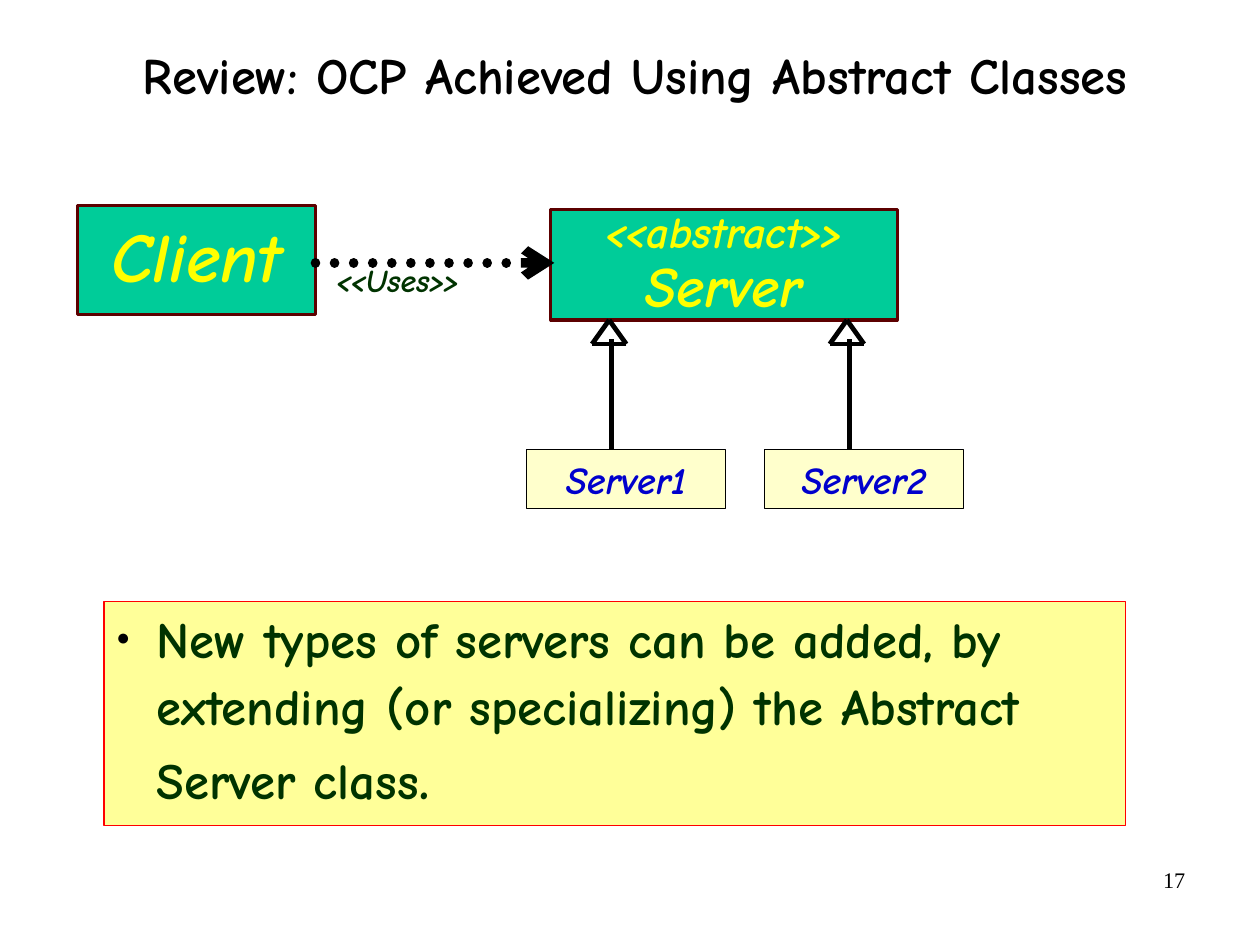
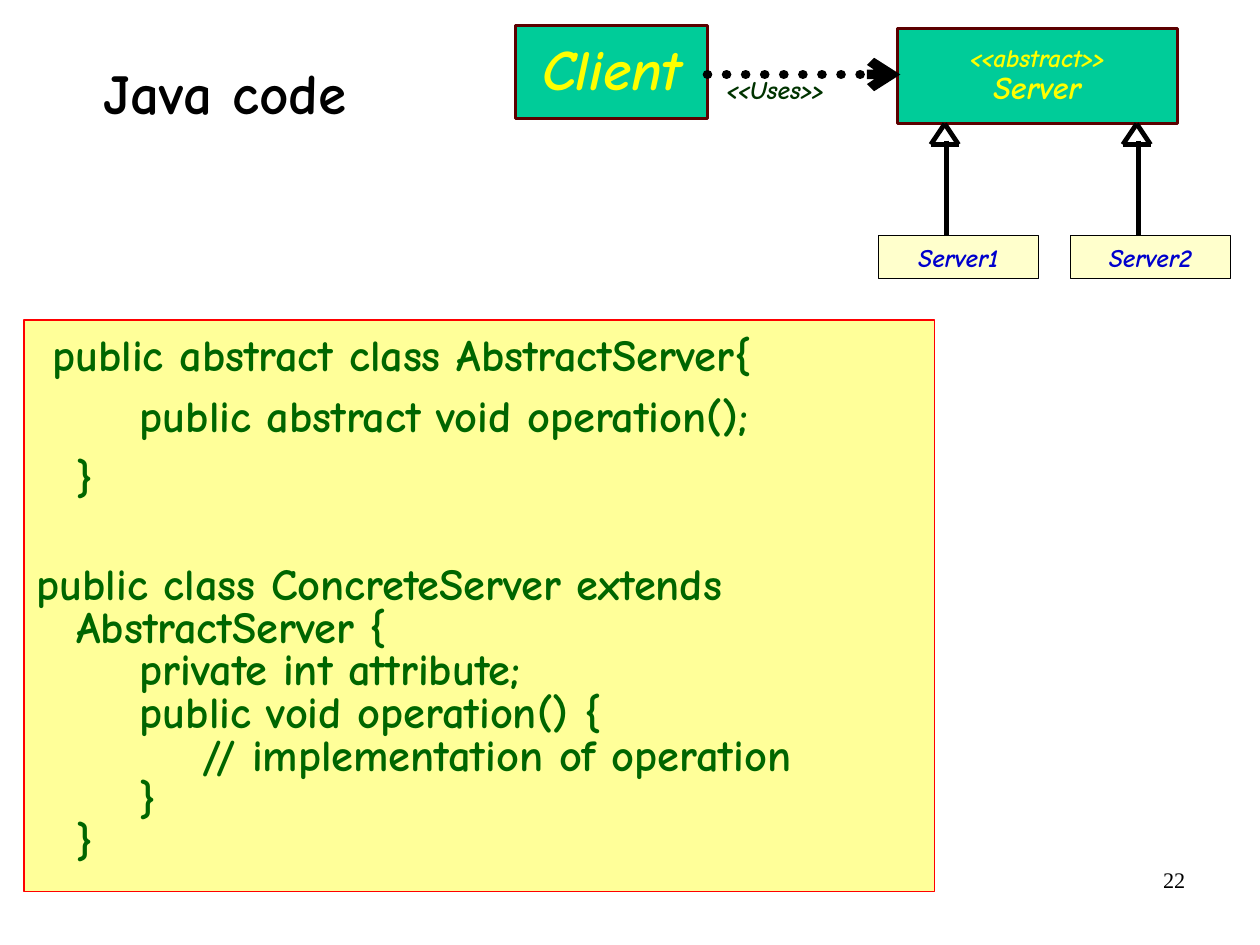
from dataclasses import dataclass

import pptx
import pptx.dml.color
import pptx.enum.dml
import pptx.enum.shapes
import pptx.enum.text
import pptx.oxml.ns
import pptx.util
from lxml import etree
from pptx.util import Inches

ALIGN = pptx.enum.text.PP_ALIGN
ANCHOR = pptx.enum.text.MSO_ANCHOR
SHAPE = pptx.enum.shapes.MSO_SHAPE
COMIC = "Comic Neue"
SERIF = "Times New Roman"

BLACK = "000000"
CLASS_FILL, CLASS_LINE, CLASS_TEXT = "00CC99", "5C0000", "FFFF00"
CHILD_FILL, CHILD_TEXT = "FFFFCC", "0000CC"
PANEL_FILL, PANEL_LINE = "FFFF99", "FF0000"
DARK_GREEN, CODE_GREEN = "003300", "006600"

NO_INSETS = (0, 0)
TEXT_INSETS = (0.1, 0.05)
CLASS_INSETS = (0.11, 0.06)

CLIENT_WIDTH, CLIENT_HEIGHT = 2.08, 0.95


@dataclass(frozen=True)
class Rect:
    left: float
    top: float
    width: float
    height: float

    def lengths(self):
        return [Inches(v) for v in (self.left, self.top, self.width, self.height)]


@dataclass(frozen=True)
class Span:
    text: str
    size: float
    color: str
    font: str = COMIC
    bold: bool = True
    italic: bool = False


@dataclass(frozen=True)
class Para:
    spans: tuple[Span, ...]
    align: ALIGN = ALIGN.LEFT
    line_spacing: float = 1.0
    before: float = 0
    after: float = 0
    hanging: bool = False
    bullet: bool = False


@dataclass(frozen=True)
class Diagram:
    """Class diagram, scaled so that the client box fills the given rectangle."""
    client: Rect
    child_height: float
    client_size: float
    stereotype_size: float
    server_size: float
    child_size: float
    uses_size: float

    def width(self, value: float) -> float:
        return value * self.client.width / CLIENT_WIDTH

    def height(self, value: float) -> float:
        return value * self.client.height / CLIENT_HEIGHT

    def x(self, value: float) -> float:
        return self.client.left + self.width(value)

    def y(self, value: float) -> float:
        return self.client.top + self.height(value)

    def rect(self, left: float, top: float, width: float, height: float) -> Rect:
        return Rect(self.x(left), self.y(top), self.width(width), self.height(height))


def rgb(color: str):
    return pptx.dml.color.RGBColor.from_string(color)


def qn(tag: str) -> str:
    return pptx.oxml.ns.qn(tag)


def add_bullet(para) -> None:
    props = para._p.get_or_add_pPr()
    color = etree.SubElement(props, qn("a:buClr"))
    etree.SubElement(color, qn("a:srgbClr"), val=BLACK)
    etree.SubElement(props, qn("a:buSzPct"), val="45000")
    etree.SubElement(props, qn("a:buFont"), typeface=SERIF)
    etree.SubElement(props, qn("a:buChar"), char="●")


def write(box, paras: list[Para], insets: tuple[float, float], anchor=ANCHOR.TOP) -> None:
    frame = box.text_frame
    frame.word_wrap = True
    frame.vertical_anchor = anchor
    frame.margin_left = frame.margin_right = Inches(insets[0])
    frame.margin_top = frame.margin_bottom = Inches(insets[1])
    for index, item in enumerate(paras):
        para = frame.add_paragraph() if index else frame.paragraphs[0]
        if item.bullet:
            add_bullet(para)
        if item.hanging:
            props = para._p.get_or_add_pPr()
            props.set("marL", str(Inches(0.46)))
            props.set("indent", str(Inches(-0.35)))
        para.alignment = item.align
        para.line_spacing = item.line_spacing
        para.space_before = pptx.util.Pt(item.before)
        para.space_after = pptx.util.Pt(item.after)
        for span in item.spans:
            for number, line in enumerate(span.text.split("\n")):
                if number:
                    para.add_line_break()
                run = para.add_run()
                run.text = line
                run.font.name = span.font
                run.font.size = pptx.util.Pt(span.size)
                run.font.bold = span.bold
                run.font.italic = span.italic
                run.font.color.rgb = rgb(span.color)


def add_text(page, rect: Rect, para: Para, insets=TEXT_INSETS, anchor=ANCHOR.TOP) -> None:
    write(page.shapes.add_textbox(*rect.lengths()), [para], insets, anchor)


def add_figure(page, kind, rect: Rect, fill: str | None, line: str, weight: float):
    box = page.shapes.add_shape(kind, *rect.lengths())
    box.shadow.inherit = False
    if fill:
        box.fill.solid()
        box.fill.fore_color.rgb = rgb(fill)
    else:
        box.fill.background()
    box.line.color.rgb = rgb(line)
    box.line.width = pptx.util.Pt(weight)
    return box


def add_line(page, start: tuple[float, float], end: tuple[float, float], weight: float):
    line = page.shapes.add_connector(
        pptx.enum.shapes.MSO_CONNECTOR.STRAIGHT,
        *[Inches(v) for v in (*start, *end)])
    line.line.color.rgb = rgb(BLACK)
    line.line.width = pptx.util.Pt(weight)
    etree.SubElement(line._element.spPr, qn("a:effectLst"))
    return line


def add_dotted_arrow(page, start: tuple[float, float], end: tuple[float, float]) -> None:
    arrow = add_line(page, start, end, 6)
    arrow.line.dash_style = pptx.enum.dml.MSO_LINE.ROUND_DOT
    stroke = arrow.line._get_or_add_ln()
    stroke.set("cap", "rnd")
    etree.SubElement(stroke, qn("a:tailEnd"), type="arrow")


def add_class(page, rect: Rect, labels: list[tuple[str, float]]) -> None:
    box = add_figure(page, SHAPE.RECTANGLE, rect, CLASS_FILL, CLASS_LINE, 2)
    paras = [Para((Span(text, size, CLASS_TEXT, italic=True),), ALIGN.CENTER, 0.9)
             for text, size in labels]
    write(box, paras, CLASS_INSETS, ANCHOR.MIDDLE)


def add_child(page, diagram: Diagram, name: str, offset: float) -> None:
    """Subclass box with its inheritance arrow up to the server."""
    rect = Rect(diagram.x(3.93 + offset), diagram.y(2.13),
                diagram.width(1.74), diagram.child_height)
    box = add_figure(page, SHAPE.RECTANGLE, rect, CHILD_FILL, BLACK, 0.75)
    label = Span(name, diagram.child_size, CHILD_TEXT, italic=True)
    write(box, [Para((label,), ALIGN.CENTER)], CLASS_INSETS)
    stem = diagram.x(4.67 + offset)
    add_line(page, (stem, diagram.y(1.17)), (stem, diagram.y(2.13)), 3)
    left, apex, right = (diagram.x(v + offset) for v in (4.5, 4.65, 4.8))
    top, base = diagram.y(1), diagram.y(1.21)
    corners = [(apex, top), (right, base), (left, base)]
    for start, end in zip(corners, corners[1:] + corners[:1]):
        add_line(page, start, end, 3)


def add_diagram(page, diagram: Diagram) -> None:
    add_class(page, diagram.client, [("Client", diagram.client_size)])
    add_class(page, diagram.rect(4.14, 0.03, 3.03, 0.97),
              [("<<abstract>>", diagram.stereotype_size), ("Server", diagram.server_size)])
    add_dotted_arrow(page, (diagram.x(CLIENT_WIDTH), diagram.y(0.5)),
                     (diagram.x(4.17), diagram.y(0.5)))
    for index, name in enumerate(("Server1", "Server2")):
        add_child(page, diagram, name, 2.08 * index)
    uses = Span("<<Uses>>", diagram.uses_size, DARK_GREEN, italic=True)
    add_text(page, diagram.rect(2.17, 0.5, 1.75, 0.37), Para((uses,), line_spacing=0.8))


def add_panel(page, rect: Rect, paras: list[Para]) -> None:
    panel = add_figure(page, SHAPE.RECTANGLE, rect, PANEL_FILL, PANEL_LINE, 0.75)
    write(panel, paras, NO_INSETS)


def add_page(deck, number: int, title: str, rect: Rect, size: float, align: ALIGN):
    page = deck.slides.add_slide(deck.slide_layouts[6])
    folio = Span(str(number), 14, BLACK, SERIF, bold=False)
    add_text(page, Rect(7.9, 7.53, 2.57, 0.57), Para((folio,), ALIGN.RIGHT))
    add_text(page, rect, Para((Span(title, size, BLACK),), align, 0.88),
             NO_INSETS, ANCHOR.MIDDLE)
    return page


def build_review(deck) -> None:
    page = add_page(deck, 17, "Review: OCP Achieved Using Abstract Classes",
                    Rect(0.35, 0, 10.42, 1.37), 32, ALIGN.CENTER)
    sentence = Span("New types of servers can be added, by extending "
                    "(or specializing) the Abstract Server class", 32, DARK_GREEN)
    add_panel(page, Rect(0.91, 5.26, 8.94, 1.96), [
        Para((sentence, Span(".", 36, DARK_GREEN)), line_spacing=1.1, after=13.8,
             hanging=True, bullet=True)])
    client = Rect(0.68, 1.8, CLIENT_WIDTH, CLIENT_HEIGHT)
    add_diagram(page, Diagram(client, 0.52, 44, 28, 36, 24, 20))


ABSTRACT_CODE = """ public abstract class AbstractServer{
    public abstract void operation();
}"""

CONCRETE_CODE = """public class ConcreteServer extends AbstractServer {
    private int attribute;
    public void operation() {
        // implementation of operation
    }
}"""


def build_java_code(deck) -> None:
    page = add_page(deck, 22, "Java code", Rect(0.91, 0.28, 9.4, 1.13), 36, ALIGN.LEFT)
    add_panel(page, Rect(0.21, 2.8, 7.97, 5), [
        Para((Span(ABSTRACT_CODE, 28, CODE_GREEN),), line_spacing=1.14, after=13.8,
             hanging=True),
        Para((Span(CONCRETE_CODE, 28, CODE_GREEN),), line_spacing=0.8, before=26.4,
             after=13.8, hanging=True)])
    add_diagram(page, Diagram(Rect(4.51, 0.22, 1.68, 0.82), 0.38, 36, 16, 20, 16, 16))


def main() -> None:
    deck = pptx.Presentation()
    deck.slide_width = pptx.util.Pt(793.75)
    deck.slide_height = pptx.util.Pt(595.25)
    build_review(deck)
    build_java_code(deck)
    deck.save("out.pptx")


if __name__ == "__main__":
    main()
